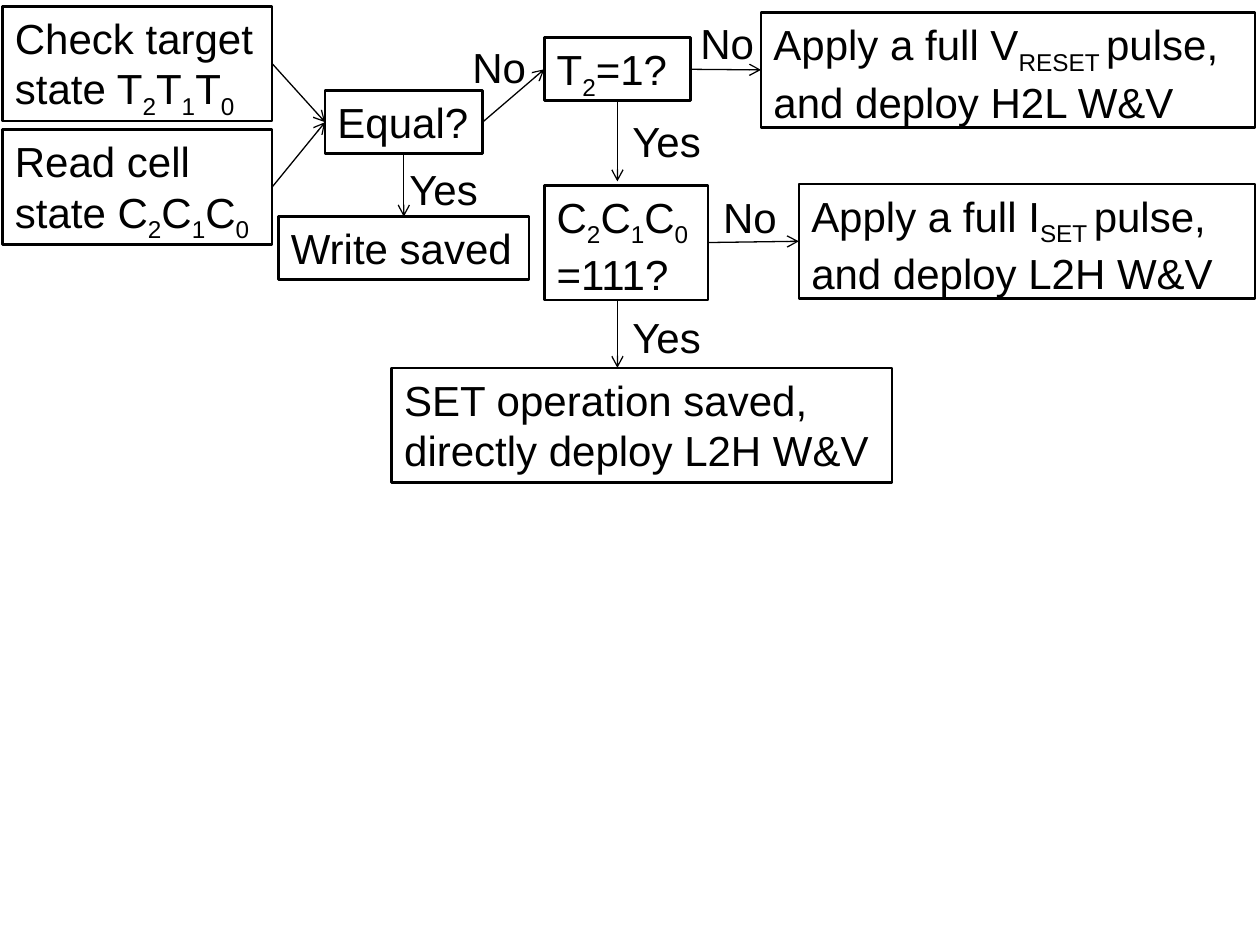
from dataclasses import dataclass
from typing import NamedTuple

from lxml.etree import SubElement
from pptx import Presentation
from pptx.dml.color import RGBColor
from pptx.enum.shapes import MSO_CONNECTOR, MSO_SHAPE
from pptx.enum.text import MSO_ANCHOR, MSO_AUTO_SIZE, PP_ALIGN
from pptx.oxml.ns import qn
from pptx.util import Inches, Pt


@dataclass(frozen=True)
class Theme:
    """Colours, font and sizes of the chart."""
    ink: RGBColor = RGBColor(0, 0, 0)
    font: str = "Arial"
    size: Pt = Pt(24)
    edge: Pt = Pt(1.5)
    wire: Pt = Pt(0.75)
    sub: str = "-25000"


class Box(NamedTuple):
    """A frame in columns and rows of the slide grid."""
    x: float
    y: float
    w: float
    h: float

    def inner(self, x, y, w, h):
        """Give a frame placed relative to this one."""
        return Box(self.x + x, self.y + y, w, h)

    def side(self, name):
        """Give the middle of one side."""
        dx, dy = {"top": (.5, 0), "left": (0, .5),
                  "low": (.5, 1), "right": (1, .5)}[name]
        return self.x + dx * self.w, self.y + dy * self.h


THEME = Theme()
CELL = Inches(0.1)
COLS, ROWS = 100, 75
ONE, TWO = 5, 9.1


def units(*nums):
    """Turn grid counts into lengths."""
    return [round(n * CELL) for n in nums]


def write(shape, text):
    """Add text run by run, with subscripts between underscores."""
    frame = shape.text_frame
    frame.word_wrap = True
    frame.auto_size = MSO_AUTO_SIZE.SHAPE_TO_FIT_TEXT
    frame.vertical_anchor = MSO_ANCHOR.TOP
    para = frame.paragraphs[0]
    para.alignment = PP_ALIGN.LEFT
    for i, bit in enumerate(text.split("_")):
        if not bit:
            continue
        run = para.add_run()
        run.text = bit
        run.font.name, run.font.size = THEME.font, THEME.size
        run.font.color.rgb = THEME.ink
        if i % 2:
            run.font._element.set("baseline", THEME.sub)


def step(slide, box, text):
    """Draw a framed step and give back its box."""
    shape = slide.shapes.add_shape(MSO_SHAPE.RECTANGLE, *units(*box))
    shape.shadow.inherit = False
    shape.fill.background()
    shape.line.color.rgb, shape.line.width = THEME.ink, THEME.edge
    write(shape, text)
    return box


def label(slide, box, text):
    """Write the answer beside an arrow."""
    write(slide.shapes.add_textbox(*units(*box)), text)


def arrow(slide, start, end):
    """Draw an arrow between two grid points."""
    line = slide.shapes.add_connector(
        MSO_CONNECTOR.STRAIGHT, *units(*start, *end))
    line.line.color.rgb, line.line.width = THEME.ink, THEME.wire
    SubElement(line.line._get_or_add_ln(), qn("a:tailEnd"), type="arrow")
    SubElement(line._element.spPr, qn("a:effectLst"))


def inputs(slide, area):
    """Place the two input steps one above the other."""
    texts = "Check target state T_2_T_1_T_0_", "Read cell state C_2_C_1_C_0_"
    gap = area.h - 2 * TWO
    return [step(slide, area.inner(0, i * (TWO + gap), area.w, TWO), text)
            for i, text in enumerate(texts)]


def match(slide, area):
    """Place the equality test and its saved write."""
    test = step(slide, area.inner(3.7, 0, 12.5, ONE), "Equal?")
    save = step(slide, area.inner(0, 10, area.w, ONE), "Write saved")
    arrow(slide, test.side("low"), save.side("top"))
    label(slide, area.inner(9.4, 5.3, 9.2, ONE), "Yes")
    return test


def checks(slide, area):
    """Place the bit tests and the step they lead down to."""
    bit = step(slide, area.inner(12.1, 0, 11.6, ONE), "T_2_=1?")
    state = step(slide, area.inner(12.1, 11.7, 13, TWO), "C_2_C_1_C_0_=111?")
    last = step(slide, area.inner(0, 26.2, area.w, TWO),
                "SET operation saved, directly deploy L2H W&V")
    mid, low = bit.side("low")
    arrow(slide, (mid, low), (mid, state.y - .3))
    arrow(slide, (mid, state.y + TWO), (mid, last.y))
    for top in (5.7, 21.2):
        label(slide, area.inner(18.1, top, 9.2, ONE), "Yes")
    return bit, state


def pulses(slide, area):
    """Place the two pulse steps against the right edge."""
    rows = ((0, area.w, "Apply a full V_RESET _pulse, and deploy H2L W&V"),
            (13.6, 36.2, "Apply a full I_SET _pulse, and deploy L2H W&V"))
    return [step(slide, area.inner(area.w - w, y, w, TWO), text)
            for y, w, text in rows]


def flow(slide, area):
    """Place the regions and join them with arrows."""
    feeds = inputs(slide, area.inner(.2, .5, 21.4, 18.9))
    test = match(slide, area.inner(22.1, 7.2, 19.9, 15))
    tests = checks(slide, area.inner(31.1, 3, 39.7, 35.3))
    ends = pulses(slide, area.inner(60.4, 1, 39.2, 22.7))
    links = [(feed, test) for feed in feeds]
    links += [(test, tests[0]), *zip(tests, ends)]
    for start, end in links:
        arrow(slide, start.side("right"), end.side("left"))
    for x, y in ((36.5, 2.8), (54.6, .9), (56.4, 14.7)):
        label(slide, area.inner(x, y, 6.7, ONE), "No")


def main():
    """Build the slide and save it."""
    deck = Presentation()
    deck.slide_width, deck.slide_height = units(COLS, ROWS)
    slide = deck.slides.add_slide(deck.slide_layouts[6])
    flow(slide, Box(0, 0, COLS, ROWS))
    deck.save("out.pptx")


if __name__ == "__main__":
    main()
